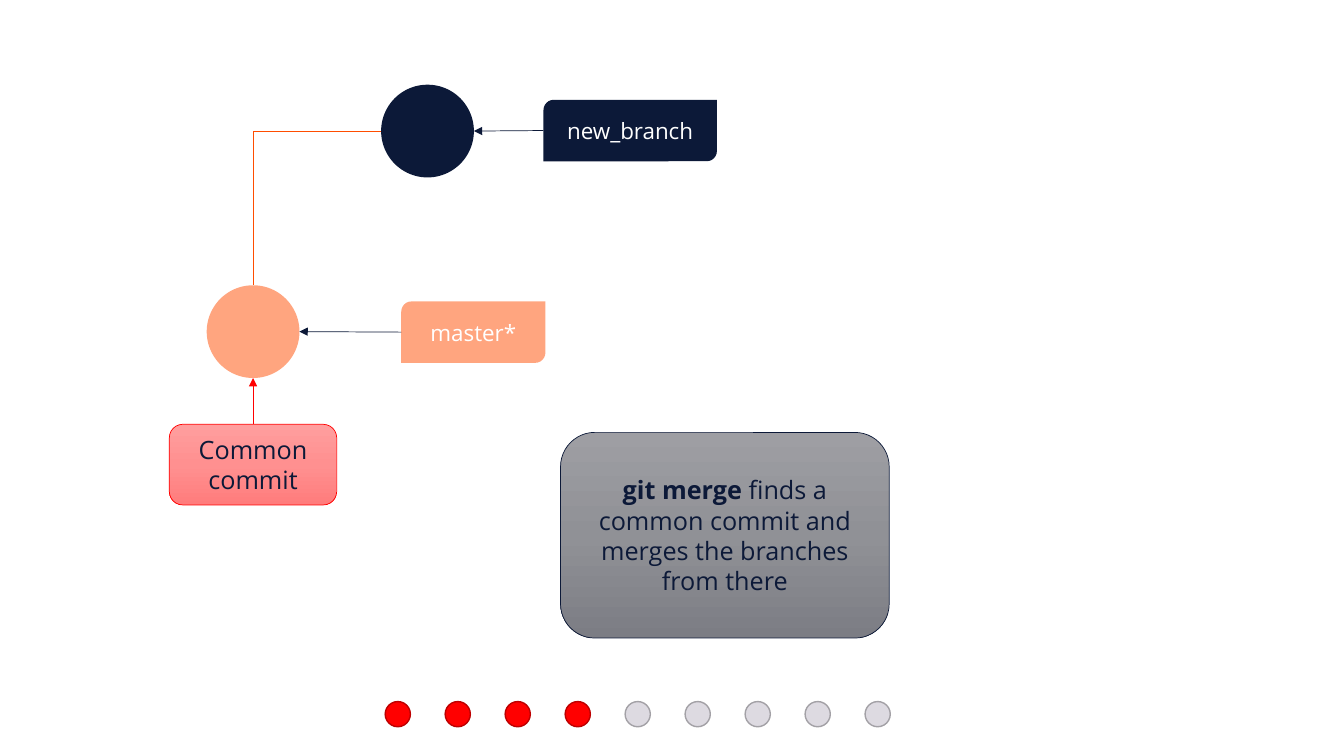
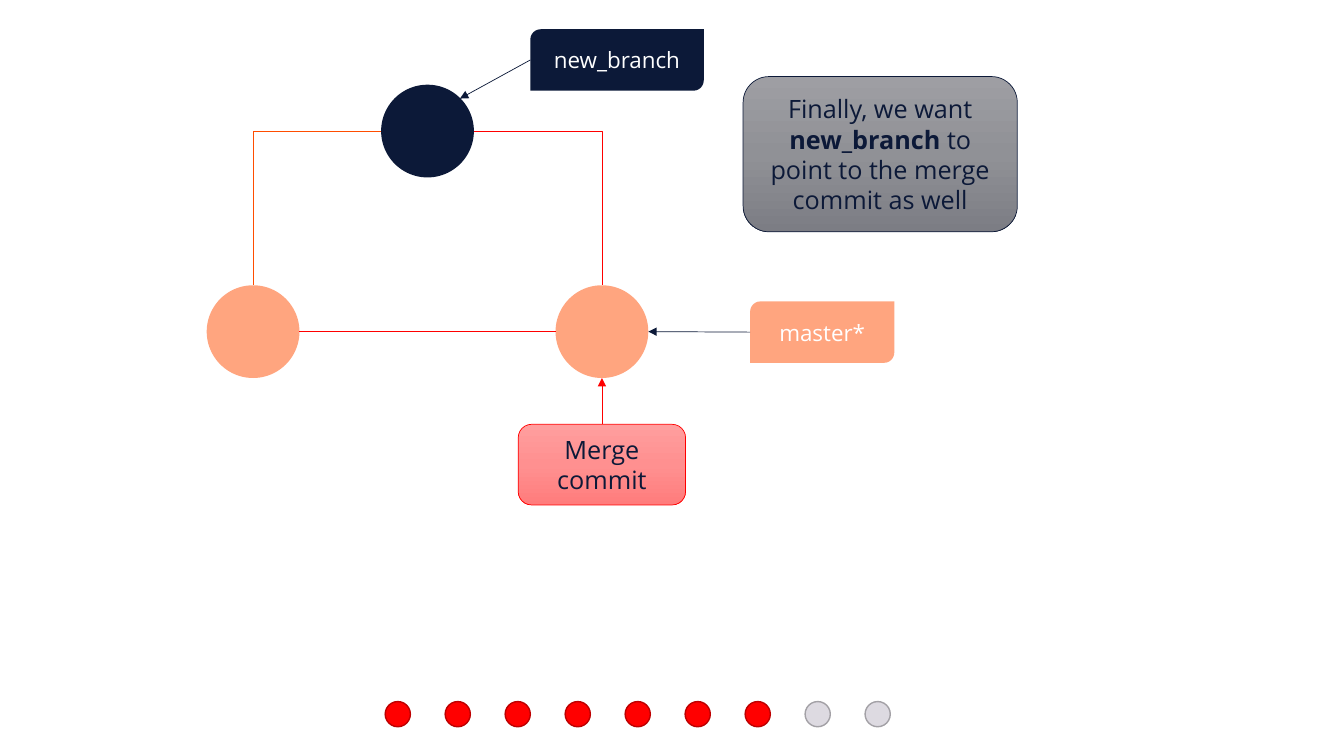
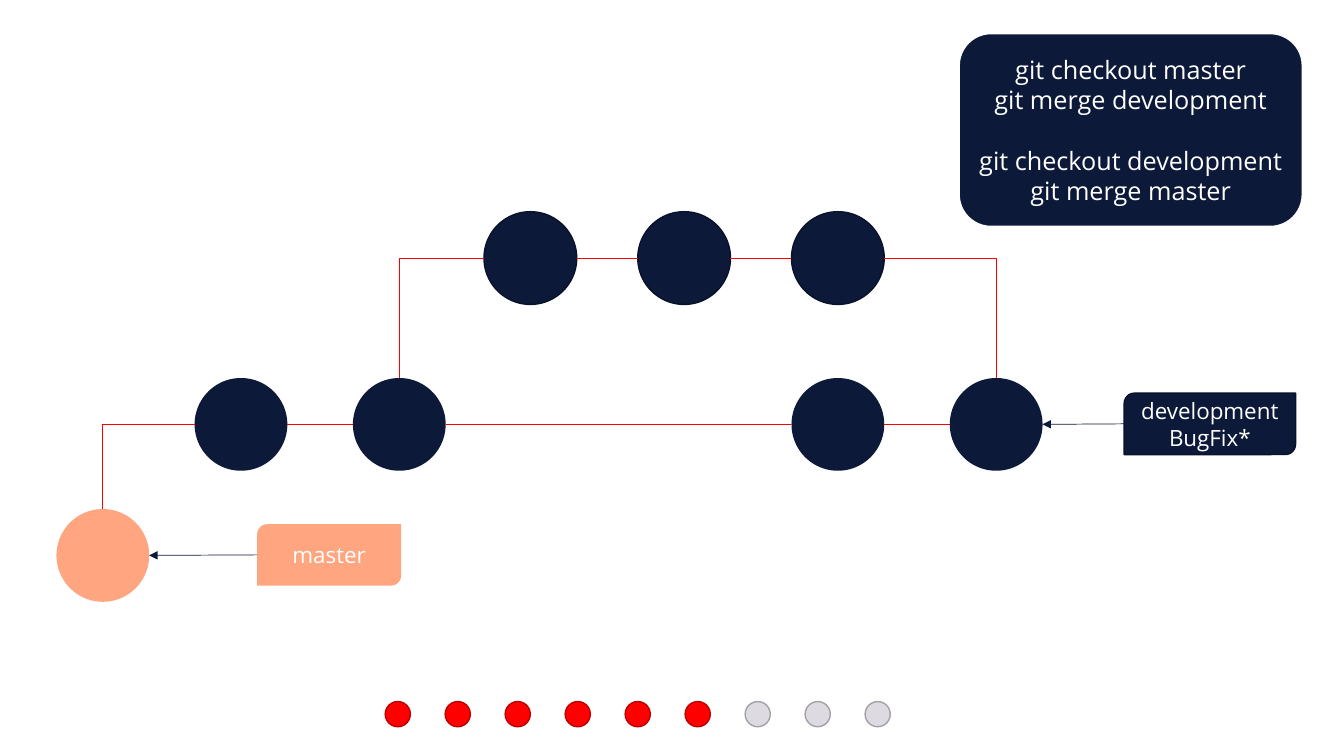
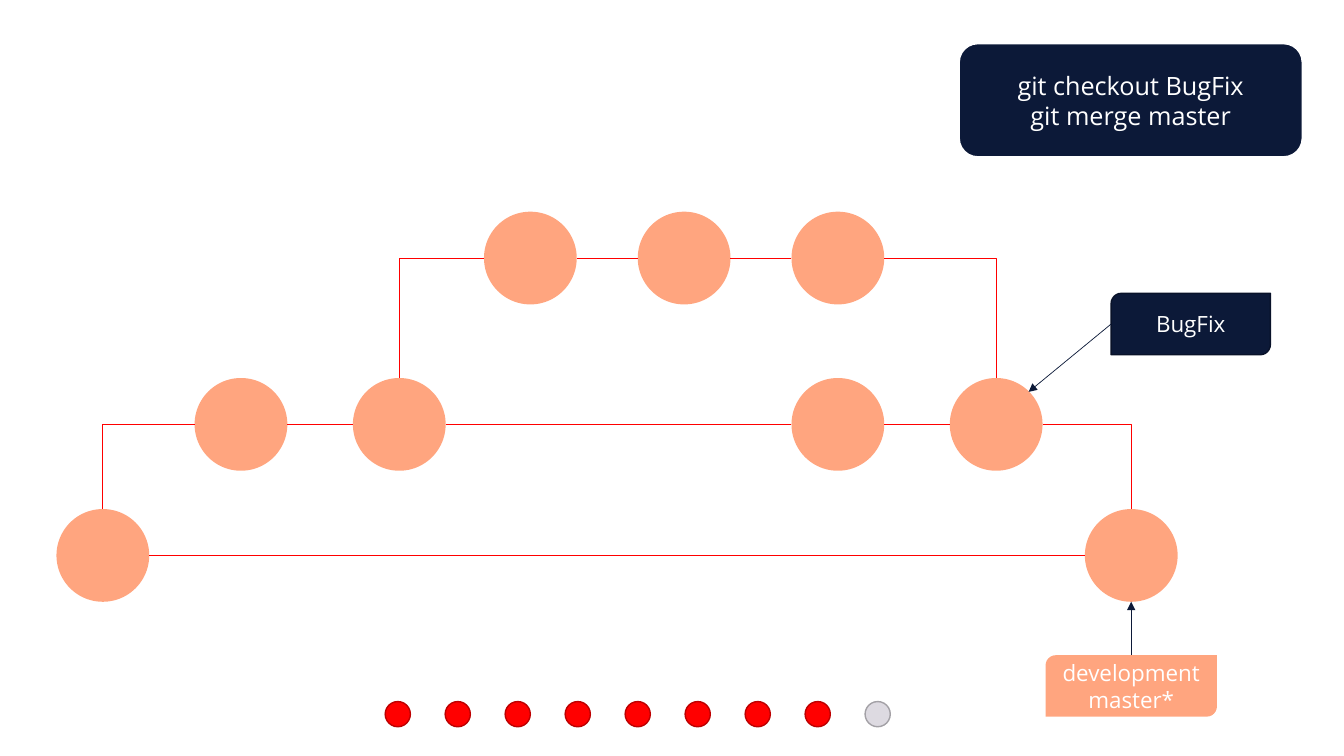
from copy import deepcopy

from lxml.etree import SubElement
from pptx import Presentation
from pptx.dml.color import RGBColor
from pptx.enum.shapes import MSO_CONNECTOR as Connector, MSO_SHAPE as Shape
from pptx.enum.text import MSO_ANCHOR as Anchor, PP_ALIGN as Align
from pptx.oxml.ns import qn
from pptx.util import Inches, Pt

FONT = "Open Sans"
NAVY = RGBColor(0x0C, 0x19, 0x38)
NAVY_EDGE = RGBColor(0x09, 0x12, 0x29)
ORANGE = RGBColor(0xFF, 0x4D, 0x00)
RED = RGBColor(0xFF, 0x00, 0x00)
RED_EDGE = RGBColor(0xBD, 0x00, 0x00)
GREY = RGBColor(0xDD, 0xDA, 0xE1)
GREY_EDGE = RGBColor(0xA3, 0xA1, 0xA6)
WHITE = RGBColor(0xFF, 0xFF, 0xFF)
GREY_SHADES = [RGBColor(0x9E, 0x9E, 0xA3), RGBColor(0x90, 0x91, 0x96), RGBColor(0x7C, 0x7D, 0x84)]
RED_SHADES = [RGBColor(0xFF, 0x9E, 0x9E), RGBColor(0xFF, 0x90, 0x90), RGBColor(0xFF, 0x7C, 0x7C)]

COMMIT_SIZE = 0.92
LABEL_HEIGHT = 0.61
STEP_COUNT = 9

SIDES = {"top": (0.5, 0), "left": (0, 0.5), "bottom": (0.5, 1), "right": (1, 0.5),
         "top right": (0.85, 0.15)}
SITES = {
    Shape.OVAL: {"top": 0, "left": 2, "bottom": 4, "right": 6, "top right": 7},
    Shape.ROUNDED_RECTANGLE: {"top": 0, "left": 1, "bottom": 2, "right": 3},
    Shape.ROUND_2_DIAG_RECTANGLE: {"right": 0, "bottom": 1, "left": 2, "top": 3},
}


def add_figure(slide, kind, left, top, width, height, fill, edge=None, edge_width=1):
    """Add a preset shape; orange fills are half transparent and a list makes a gradient."""
    shape = slide.shapes.add_shape(kind, Inches(left), Inches(top), Inches(width), Inches(height))
    shape.shadow.inherit = False
    if isinstance(fill, list):
        shape.fill.gradient()
        stops = shape.element.spPr.find(".//" + qn("a:gsLst"))
        stops.insert(1, deepcopy(stops[0]))
        shape.fill.gradient_angle = 270
        for stop, color, position in zip(shape.fill.gradient_stops, fill, (0, 0.5, 1)):
            stop.color.rgb = color
            stop.position = position
    else:
        shape.fill.solid()
        shape.fill.fore_color.rgb = fill
        if fill == ORANGE:
            color = shape.element.spPr.find(qn("a:solidFill"))[0]
            SubElement(color, qn("a:alpha")).set("val", "50000")
    if edge is None:
        shape.line.fill.background()
    else:
        shape.line.color.rgb = edge
        shape.line.width = Pt(edge_width)
    return shape


def write_lines(shape, lines, size, color, bold=""):
    """Write centred paragraphs, with one phrase in bold if given."""
    frame = shape.text_frame
    frame.word_wrap = True
    frame.vertical_anchor = Anchor.MIDDLE
    frame.text = "\n".join(lines)
    for paragraph in frame.paragraphs:
        paragraph.alignment = Align.CENTER
        before, phrase, after = paragraph.text.partition(bold) if bold else (paragraph.text, "", "")
        paragraph.text = ""
        for text in filter(None, (before, phrase, after)):
            run = paragraph.add_run()
            run.text = text
            run.font.name = FONT
            run.font.size = Pt(size)
            run.font.bold = text == bold
            run.font.color.rgb = color


def add_commit(slide, left, top, fill, edge=None):
    """Add the circle that stands for a commit."""
    return add_figure(slide, Shape.OVAL, left, top, COMMIT_SIZE, COMMIT_SIZE, fill, edge)


def add_label(slide, left, top, width, lines, fill, edge=None):
    """Add a branch label."""
    label = add_figure(slide, Shape.ROUND_2_DIAG_RECTANGLE, left, top, width, LABEL_HEIGHT, fill, edge)
    write_lines(label, lines, 16, WHITE)
    return label


def add_note(slide, left, top, width, height, text, bold="", shades=GREY_SHADES, edge=NAVY):
    """Add a shaded note."""
    note = add_figure(slide, Shape.ROUNDED_RECTANGLE, left, top, width, height, shades, edge, 0.5)
    write_lines(note, [text], 18, NAVY, bold)
    return note


def add_callout(slide, commit, text):
    """Add a red note centred below a commit, with an arrow up to it."""
    width = 1.66
    left = (commit.left + commit.width / 2) / Inches(1) - width / 2
    top = (commit.top + commit.height) / Inches(1) + 0.46
    note = add_note(slide, left, top, width, 0.8, text, shades=RED_SHADES, edge=RED)
    link(slide, note, "top", commit, "bottom", RED, arrow=True)


def add_commands(slide, top, height, lines):
    """Add the box of commands and return it."""
    box = add_figure(slide, Shape.ROUNDED_RECTANGLE, 9.51, top, 3.41, height, NAVY, WHITE, 1.5)
    write_lines(box, lines, 18, WHITE)
    return box


def side_point(shape, side):
    """Return the point on a side of a shape."""
    across, down = SIDES[side]
    return int(shape.left + shape.width * across), int(shape.top + shape.height * down)


def link(slide, start, start_side, end, end_side, color=RED, arrow=False, bent=False):
    """Join two shapes; a bent link runs level first and then down."""
    connector = slide.shapes.add_connector(Connector.STRAIGHT, 0, 0, 0, 0)
    connector.begin_connect(start, 0)
    connector.end_connect(end, 0)
    for tag, shape, side in (("a:stCxn", start, start_side), ("a:endCxn", end, end_side)):
        joint = connector.element.find(".//" + qn(tag))
        joint.set("idx", str(SITES[shape.auto_shape_type][side]))
    connector.begin_x, connector.begin_y = side_point(start, start_side)
    connector.end_x, connector.end_y = side_point(end, end_side)
    connector.line.color.rgb = color
    connector.line.width = Pt(0.5)
    properties = connector.element.spPr
    if bent:
        properties.find(qn("a:prstGeom")).set("prst", "bentConnector2")
    if arrow:
        SubElement(properties.find(qn("a:ln")), qn("a:tailEnd")).set("type", "triangle")
    SubElement(properties, qn("a:effectLst"))


def point_to(slide, label, side, commit, commit_side):
    """Draw the arrow from a branch label to its commit."""
    link(slide, label, side, commit, commit_side, NAVY, arrow=True)


def add_progress(slide, done, left=3.82, top=6.96):
    """Add the row of step dots, the finished ones in red."""
    for step in range(STEP_COUNT):
        fill, edge = (RED, RED_EDGE) if step < done else (GREY, GREY_EDGE)
        add_figure(slide, Shape.OVAL, left + step * 0.595, top, 0.25, 0.25, fill, edge)


def add_fork(slide, left=2.05, top=0.84):
    """Add the base commit and the branch commit above it."""
    base = add_commit(slide, left, top + 1.99, ORANGE)
    branch = add_commit(slide, left + 1.73, top, NAVY)
    link(slide, branch, "left", base, "top", ORANGE, bent=True)
    return base, branch


def add_history(slide, fill, bugfix_edge=None, left=0.56, top=2.1):
    """Add the three-level history and return its root and its last commit."""
    root = add_commit(slide, left, top + 2.95, ORANGE)
    development = [add_commit(slide, left + offset, top + 1.65, fill)
                   for offset in (1.37, 2.94, 7.29, 8.86)]
    bugfix = [add_commit(slide, left + 4.24 + index * 1.525, top, fill, bugfix_edge)
              for index in range(3)]
    for row in (development, bugfix):
        for before, after in zip(row, row[1:]):
            link(slide, before, "right", after, "left")
    link(slide, development[0], "left", root, "top", bent=True)
    link(slide, bugfix[0], "left", development[1], "top", bent=True)
    link(slide, bugfix[-1], "right", development[-1], "top", bent=True)
    return root, development[-1]


def build_common_commit(slide):
    """Show the commit that both branches share."""
    base, branch = add_fork(slide)
    master = add_label(slide, 3.98, 2.99, 1.43, ["master*"], ORANGE)
    point_to(slide, master, "left", base, "right")
    new_branch = add_label(slide, 5.39, 0.99, 1.72, ["new_branch"], NAVY)
    point_to(slide, new_branch, "left", branch, "right")
    add_callout(slide, base, "Common commit")
    add_note(slide, 5.56, 4.29, 3.26, 2.04,
             "git merge finds a common commit and merges the branches from there", "git merge ")
    add_progress(slide, 4)


def build_merge_commit(slide):
    """Show the commit that merges both branches."""
    base, branch = add_fork(slide)
    merge = add_commit(slide, 5.51, 2.83, ORANGE)
    link(slide, branch, "right", merge, "top", bent=True)
    link(slide, base, "right", merge, "left")
    new_branch = add_label(slide, 5.26, 0.29, 1.72, ["new_branch"], NAVY)
    point_to(slide, new_branch, "left", branch, "top right")
    master = add_label(slide, 7.44, 2.99, 1.43, ["master*"], ORANGE)
    point_to(slide, master, "left", merge, "right")
    add_callout(slide, merge, "Merge commit")
    add_note(slide, 7.37, 0.76, 2.72, 1.54,
             "Finally, we want new_branch to point to the merge commit as well", "new_branch ")
    add_progress(slide, 7)


def build_before_merge(slide):
    """Show the history before development is merged into master."""
    root, tip = add_history(slide, NAVY, NAVY_EDGE)
    master = add_label(slide, 2.55, 5.2, 1.43, ["master"], ORANGE)
    point_to(slide, master, "left", root, "right")
    development = add_label(slide, 11.15, 3.9, 1.7, ["development", "BugFix*"], NAVY, NAVY_EDGE)
    point_to(slide, development, "left", tip, "right")
    commands = add_commands(slide, 0.33, 1.92, ["git checkout master", "git merge development",
                                                "git checkout development", "git merge master"])
    commands.text_frame.paragraphs[2].space_before = Pt(21.6)
    add_progress(slide, 6)


def build_after_merge(slide):
    """Show the history after development is merged into master."""
    root, tip = add_history(slide, ORANGE)
    merge = add_commit(slide, 10.76, 5.05, ORANGE)
    link(slide, root, "right", merge, "left")
    link(slide, tip, "right", merge, "top", bent=True)
    development = add_label(slide, 10.37, 6.5, 1.7, ["development", "master*"], ORANGE)
    point_to(slide, development, "top", merge, "bottom")
    bugfix = add_label(slide, 11.02, 2.91, 1.58, ["BugFix"], NAVY, NAVY_EDGE)
    point_to(slide, bugfix, "left", tip, "top right")
    add_commands(slide, 0.43, 1.13, ["git checkout BugFix", "git merge master"])
    add_progress(slide, 8)


def main():
    """Build the presentation."""
    presentation = Presentation()
    presentation.slide_width = Inches(13.33)
    presentation.slide_height = Inches(7.5)
    for build in (build_common_commit, build_merge_commit, build_before_merge, build_after_merge):
        build(presentation.slides.add_slide(presentation.slide_layouts[6]))
    presentation.save("out.pptx")


if __name__ == "__main__":
    main()
